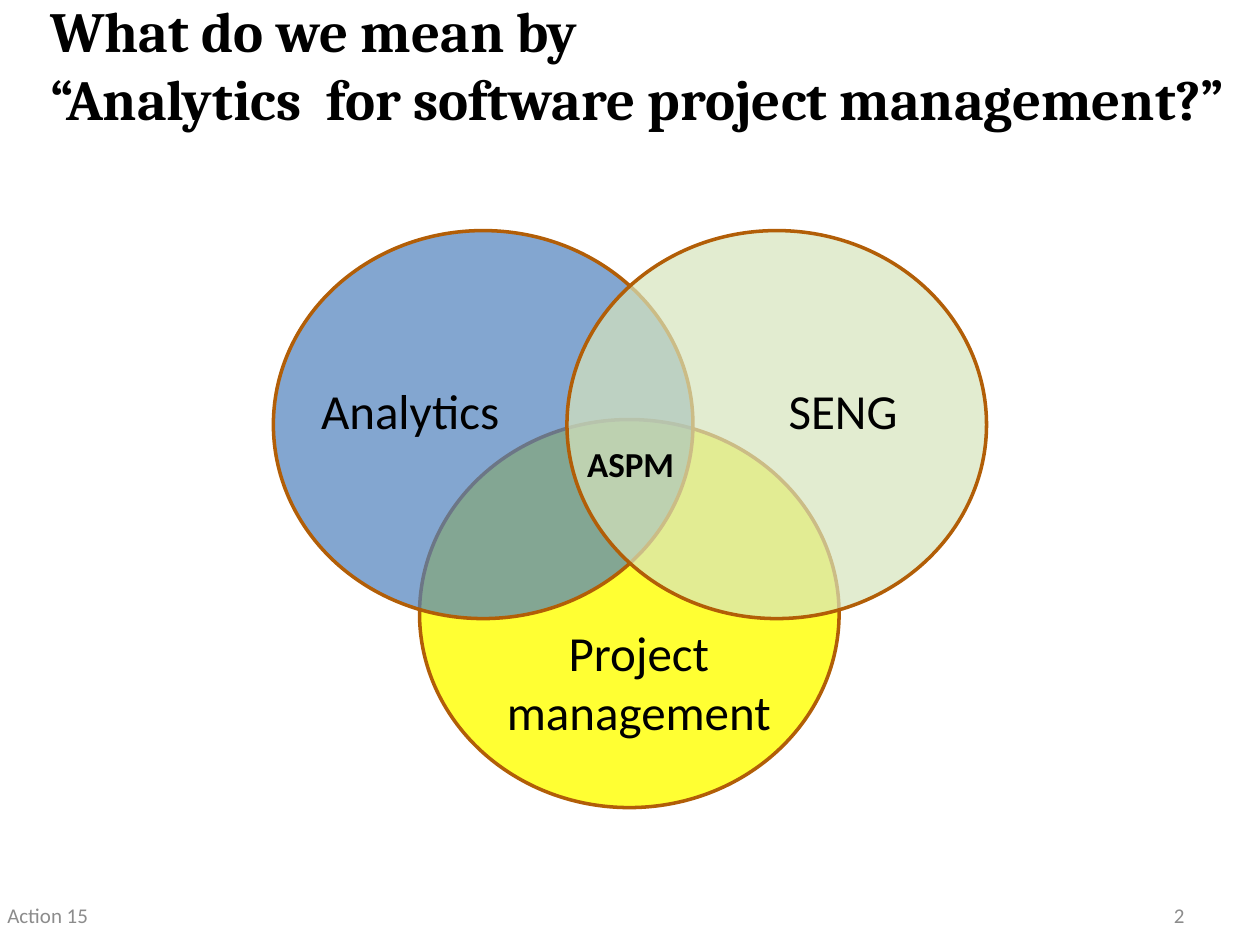
import pptx
import pptx.dml.color
import pptx.enum.shapes
import pptx.enum.text
import pptx.oxml
import pptx.oxml.ns
import pptx.util

RGB = pptx.dml.color.RGBColor
ALIGN = pptx.enum.text.PP_ALIGN
ANCHOR = pptx.enum.text.MSO_ANCHOR
FIT = pptx.enum.text.MSO_AUTO_SIZE

BLACK = RGB(0x00, 0x00, 0x00)
GREY = RGB(0x8C, 0x8C, 0x8C)
BROWN = RGB(0xB2, 0x5E, 0x07)
YELLOW = RGB(0xFF, 0xFF, 0x00)
BLUE = RGB(0x4F, 0x81, 0xBD)
GREEN = RGB(0xD7, 0xE4, 0xBD)

SCALE = 9144


def px(n):
    """Turn px, a hundred to the inch, into EMU."""
    return pptx.util.Emu(n * SCALE)


def label(slide, box, text, size, color=BLACK, face="Calibri", bold=False,
          align=ALIGN.LEFT, anchor=ANCHOR.TOP, wrap=False):
    """Add a text box with one style throughout."""
    frame = slide.shapes.add_textbox(*map(px, box)).text_frame
    frame.word_wrap = wrap
    frame.auto_size = FIT.NONE if wrap else FIT.SHAPE_TO_FIT_TEXT
    frame.vertical_anchor = anchor
    frame.text = text
    for para in frame.paragraphs:
        para.alignment = align
        for run in para.runs:
            run.font.name = face
            run.font.size = pptx.util.Pt(size)
            run.font.bold = bold
            run.font.color.rgb = color


def disc(slide, box, color, alpha):
    """Add a see-through ellipse with a brown rim."""
    oval = slide.shapes.add_shape(pptx.enum.shapes.MSO_SHAPE.OVAL, *map(px, box))
    oval.shadow.inherit = False
    oval.fill.solid()
    oval.fill.fore_color.rgb = color
    oval.line.color.rgb = BROWN
    oval.line.width = pptx.util.Pt(2)
    tint = oval.fill._xPr.find(".//" + pptx.oxml.ns.qn("a:srgbClr"))
    node = pptx.oxml.parse_xml(
        f'<a:alpha {pptx.oxml.ns.nsdecls("a")} val="{alpha * 1000}"/>')
    tint.append(node)


def title(slide, box):
    """Place the two-line heading."""
    label(slide, box, "What do we mean by \v“Analytics  for software project management?”",
          32.4, face="Cambria", bold=True, anchor=ANCHOR.MIDDLE, wrap=True)


def venn(slide, box):
    """Place three overlapping discs and their labels."""
    left, top, width, height = box
    wide, high = 333, 308
    discs = [
        ((width - wide) // 2, height - high, YELLOW, 80),
        (0, 0, BLUE, 70),
        (width - wide, 0, GREEN, 70),
    ]
    for x, y, color, alpha in discs:
        disc(slide, (left + x, top + y, wide, high), color, alpha)
    names = [
        (28, 114, 177, 57, "Analytics", 28, False, ALIGN.LEFT),
        (399, 114, 131, 57, "SENG", 28, False, ALIGN.LEFT),
        (165, 306, 250, 104, "Project\nmanagement", 28, False, ALIGN.CENTER),
        (233, 163, 101, 44, "ASPM", 20, True, ALIGN.CENTER),
    ]
    for x, y, w, h, text, size, bold, align in names:
        label(slide, (left + x, top + y, w, h), text, size, bold=bold, align=align)


def footer(slide, box):
    """Place the footer text and the slide number."""
    left, top, width, height = box
    num = 233
    parts = [
        (left, 317, "Action 15", ALIGN.LEFT),
        (left + width - num, num, "2", ALIGN.RIGHT),
    ]
    for x, wide, text, align in parts:
        label(slide, (x, top, wide, height), text, 12, GREY,
              align=align, anchor=ANCHOR.MIDDLE, wrap=True)


def main():
    """Build and save the slide."""
    deck = pptx.Presentation()
    deck.slide_width, deck.slide_height = px(1000), px(750)
    slide = deck.slides.add_slide(deck.slide_layouts[6])
    title(slide, (30, 7, 982, 87))
    footer(slide, (-4, 706, 954, 40))
    venn(slide, (217, 183, 566, 458))
    deck.save("out.pptx")


if __name__ == "__main__":
    main()
